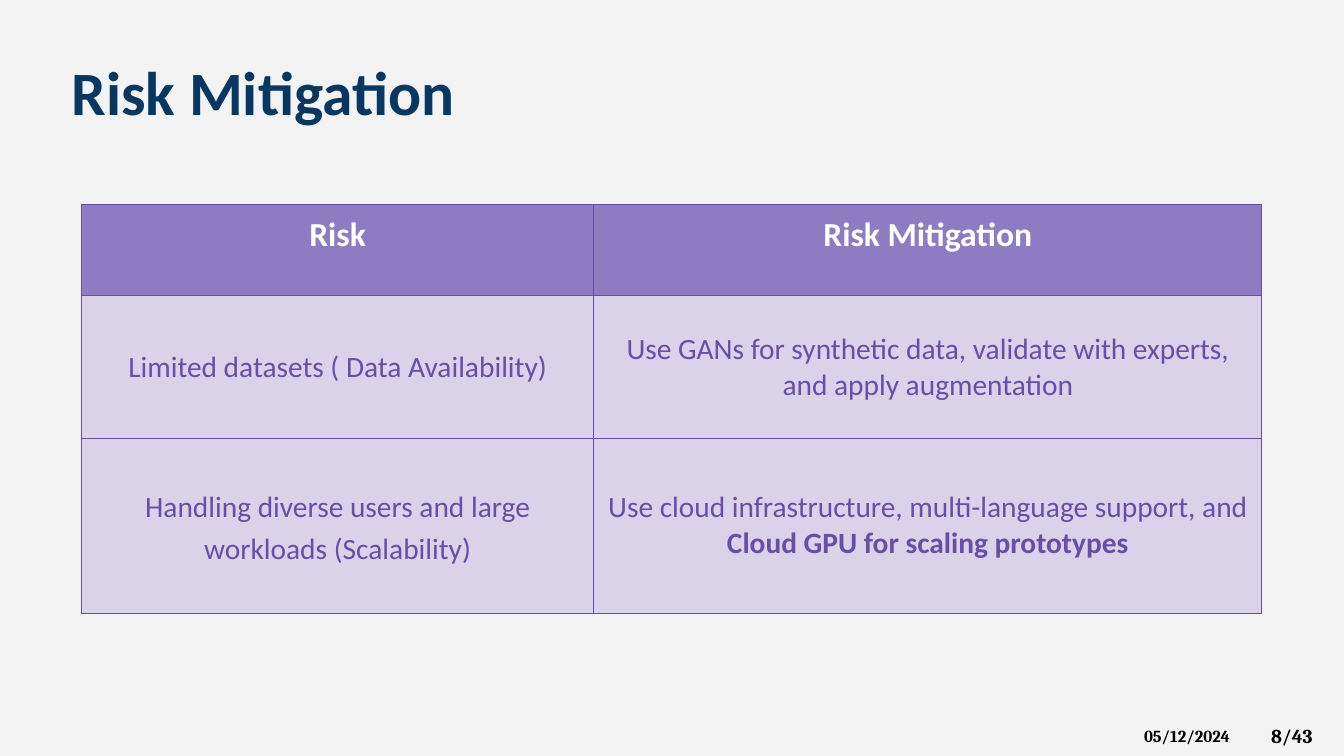
from lxml import etree
from pptx import Presentation
from pptx.dml.color import RGBColor
from pptx.enum.text import MSO_ANCHOR, PP_ALIGN
from pptx.oxml.ns import qn
from pptx.util import Pt

CENTER = PP_ALIGN.CENTER
TOP, MIDDLE = MSO_ANCHOR.TOP, MSO_ANCHOR.MIDDLE

# Content
COLORS = {
    "background": "F3F3F3", "title": "083762", "footer": "000000",
    "header_text": "FFFFFF", "header_fill": "8E7CC3",
    "body_text": "674EA7", "body_fill": "D9D2E9", "border": "674EA7",
}
# text, (left, top, width, height), font, size, color
LABELS = [
    ("Risk Mitigation", (51.1, 38.2, 399, 53.3), "Calibri", 44, "title"),
    ("8/43", (907.9, 517, 52, 17.3), "Cambria", 14, "footer"),
    ("05/12/2024", (817.2, 518.4, 88, 15.1), "Cambria", 12, "footer"),
]
# Each cell is a list of (text, bold) runs
RISKS = [
    [[("Risk", True)], [("Risk Mitigation", True)]],
    [[("Limited datasets ( Data Availability)", False)],
     [("Use GANs for synthetic data, validate with experts, and apply augmentation", False)]],
    [[("Handling diverse users and large workloads (Scalability)", False)],
     [("Use cloud infrastructure, multi-language support, and ", False),
      ("Cloud GPU for scaling prototypes", True)]],
]
TABLE_LEFT, TABLE_TOP = 58.2, 146.2
COLUMN_WIDTHS = [366, 477.2]
ROW_HEIGHTS = [64.8, 102.2, 124.8]
CELL_MARGIN = 7.2
LOOSE_CELL, LOOSE_SPACING = (2, 0), 1.15


def rgb(name):
    return RGBColor.from_string(COLORS[name])


def set_font(font, name, size, color):
    font.name, font.size = name, Pt(size)
    font.color.rgb = rgb(color)


def set_margins(target, margin):
    target.margin_left = target.margin_right = Pt(margin)
    target.margin_top = target.margin_bottom = Pt(margin)


def add_label(slide, text, box, font, size, color):
    frame = slide.shapes.add_textbox(*map(Pt, box)).text_frame
    frame.word_wrap = True
    set_margins(frame, 0)
    paragraph = frame.paragraphs[0]
    paragraph.text = text
    set_font(paragraph.font, font, size, color)
    paragraph.font.bold = True


def add_borders(cell):
    properties = cell._tc.get_or_add_tcPr()
    for position, side in enumerate(("lnL", "lnR", "lnT", "lnB")):
        line = etree.Element(qn(f"a:{side}"), w=str(Pt(0.75)))
        fill = etree.SubElement(line, qn("a:solidFill"))
        etree.SubElement(fill, qn("a:srgbClr"), val=COLORS["border"])
        properties.insert(position, line)


def fill_cell(cell, runs, kind, size, anchor):
    cell.fill.solid()
    cell.fill.fore_color.rgb = rgb(f"{kind}_fill")
    cell.vertical_anchor = anchor
    set_margins(cell, CELL_MARGIN)
    add_borders(cell)
    paragraph = cell.text_frame.paragraphs[0]
    paragraph.alignment = CENTER
    set_font(paragraph.font, "Calibri", size, f"{kind}_text")
    for text, bold in runs:
        run = paragraph.add_run()
        run.text = text
        set_font(run.font, "Calibri", size, f"{kind}_text")
        run.font.bold = bold
    return paragraph


def add_risk_table(slide):
    table = slide.shapes.add_table(
        len(ROW_HEIGHTS), len(COLUMN_WIDTHS), Pt(TABLE_LEFT), Pt(TABLE_TOP),
        Pt(sum(COLUMN_WIDTHS)), Pt(sum(ROW_HEIGHTS))).table
    for column, width in zip(table.columns, COLUMN_WIDTHS):
        column.width = Pt(width)
    for row, height in zip(table.rows, ROW_HEIGHTS):
        row.height = Pt(height)
    for r, risk in enumerate(RISKS):
        style = ("body", 21, MIDDLE) if r else ("header", 24, TOP)
        for c, runs in enumerate(risk):
            paragraph = fill_cell(table.cell(r, c), runs, *style)
            if (r, c) == LOOSE_CELL:
                paragraph.line_spacing = LOOSE_SPACING


def main():
    presentation = Presentation()
    presentation.slide_width, presentation.slide_height = Pt(960), Pt(540)
    slide = presentation.slides.add_slide(presentation.slide_layouts[6])
    slide.background.fill.solid()
    slide.background.fill.fore_color.rgb = rgb("background")

    # Title, page number and date
    for label in LABELS:
        add_label(slide, *label)

    # Risks and their mitigation
    add_risk_table(slide)
    presentation.save("out.pptx")


if __name__ == "__main__":
    main()
